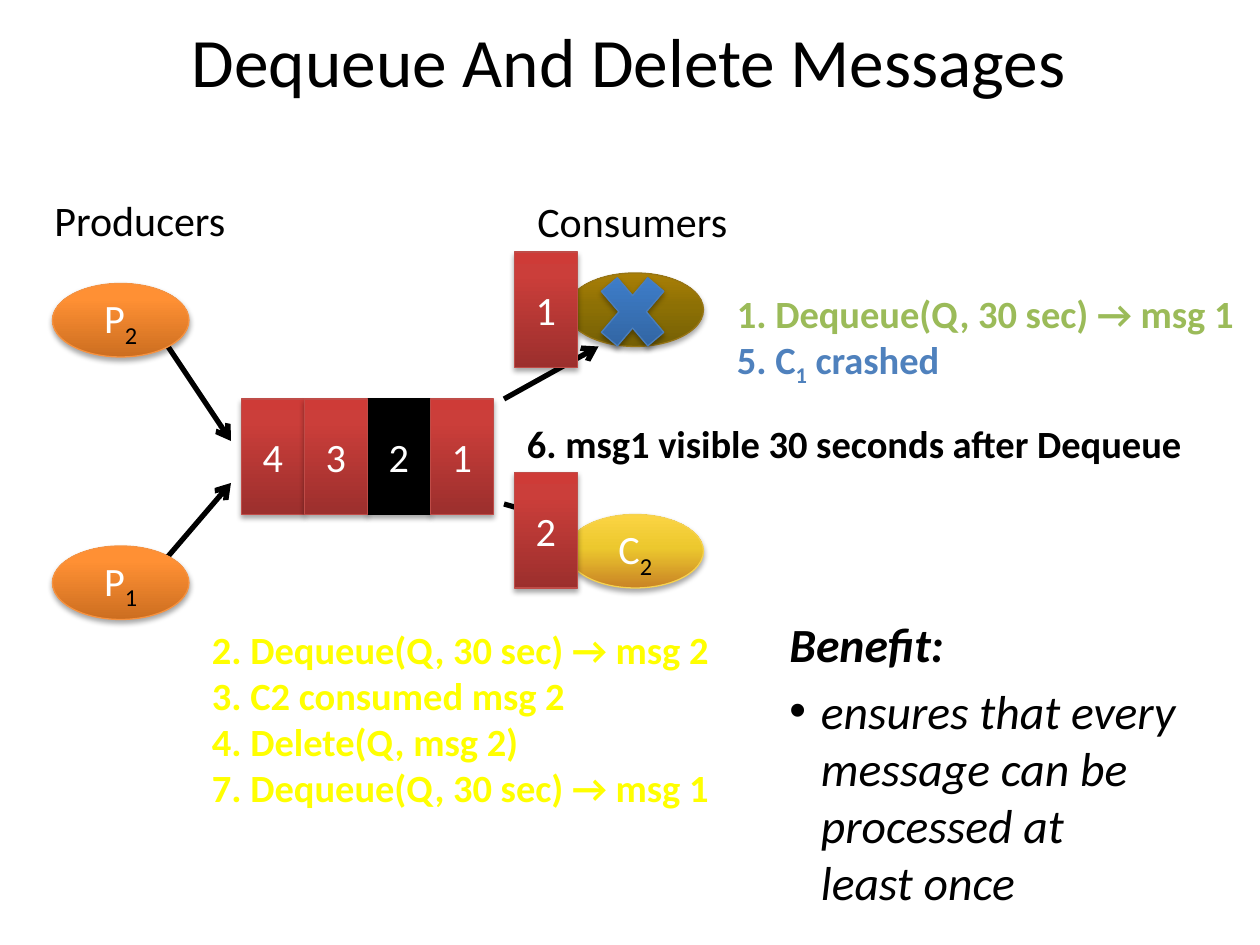
from copy import deepcopy

from lxml.etree import SubElement
from pptx import Presentation
from pptx.dml.color import RGBColor
from pptx.enum.shapes import MSO_CONNECTOR, MSO_SHAPE
from pptx.enum.text import MSO_ANCHOR, PP_ALIGN
from pptx.oxml.ns import qn
from pptx.util import Inches, Pt

COLORS = {
    "black": "000000", "white": "FFFFFF", "yellow": "FFFF00",
    "green": "9BBB59", "blue": "4F81BD",
}
GLOSS = {
    "red": ("BF4C48", [(0, "9C2F2D"), (0.8, "CB3E3A"), (1, "CE3B37")]),
    "orange": ("F69240", [(0, "CC6E20"), (0.8, "FF9034"), (1, "FF9136")]),
    "gold": ("F5D251", [(0, "C98325"), (0.55, "ECC82E"), (1, "FBD443")]),
    "olive": ("977515", [(0, "756005"), (0.55, "8D7005"), (1, "AA7F06")]),
    "blue": ("4B7EBC", [(0, "2F5F99"), (0.8, "3D7CC7"), (1, "3A7CCB")]),
    "black": ("000000", []),
}
SUBSCRIPT = {"size": 24, "color": "black"}

deck = Presentation()
deck.slide_width, deck.slide_height = Inches(10), Inches(7.5)
slide = deck.slides.add_slide(deck.slide_layouts[6])
UNIT = deck.slide_width / 120


def write(paragraph, pieces, size, color, **style):
    for text, change in pieces:
        run = paragraph.add_run()
        run.text = text
        look = {"size": size, "color": color} | change
        run.font.color.rgb = RGBColor.from_string(COLORS[look["color"]])
        values = {"name": "Calibri", "size": Pt(look["size"])} | style
        for attribute, value in values.items():
            setattr(run.font, attribute, value)
        if change.get("sub"):
            run._r.get_or_add_rPr().set("baseline", "-25000")


def glossy(preset, place, gloss, pieces=()):
    shape = slide.shapes.add_shape(preset, *[round(n * UNIT) for n in place])
    edge, stops = GLOSS[gloss]
    if stops:
        shape.fill.gradient()
        shape.fill.gradient_angle = 90
        stop_list = shape.element.spPr.find(".//" + qn("a:gsLst"))
        stop_list.append(deepcopy(stop_list[-1]))
        for stop, (position, tone) in zip(shape.fill.gradient_stops, stops):
            stop.position = position
            stop.color.rgb = RGBColor.from_string(tone)
    else:
        shape.fill.solid()
        shape.fill.fore_color.rgb = RGBColor.from_string(edge)
    shape.line.color.rgb = RGBColor.from_string(edge)
    shape.line.width = Pt(0.75)
    shape.shadow.inherit = False
    effects = shape.element.spPr.find(qn("a:effectLst"))
    shadow = SubElement(effects, qn("a:outerShdw"), blurRad=str(Pt(3.1)),
                        dist=str(Pt(1.8)), dir="5400000", rotWithShape="0")
    tint = SubElement(shadow, qn("a:srgbClr"), val=COLORS["black"])
    SubElement(tint, qn("a:alpha"), val="35000")
    shape.text_frame.vertical_anchor = MSO_ANCHOR.MIDDLE
    paragraph = shape.text_frame.paragraphs[0]
    paragraph.alignment = PP_ALIGN.CENTER
    write(paragraph, pieces, 23, "white")


for start_x, start_y, end_x, end_y in [
    (48, 48, 55, 50), (48, 38, 57, 33), (16, 33, 22, 42), (16, 53, 22, 46),
]:
    arrow = slide.shapes.add_connector(
        MSO_CONNECTOR.STRAIGHT,
        *[round(n * UNIT) for n in (start_x, start_y, end_x, end_y)])
    arrow.line.color.rgb = RGBColor.from_string(COLORS["black"])
    arrow.line.width = Pt(3)
    SubElement(arrow.line._get_or_add_ln(), qn("a:tailEnd"), type="arrow")
    SubElement(arrow.element.spPr, qn("a:effectLst"))

for letter, number, column, row, gloss in [
    ("C", "1", 54, 26, "olive"), ("C", "2", 54, 49, "gold"),
    ("P", "2", 5, 27, "orange"), ("P", "1", 5, 52, "orange"),
]:
    glossy(MSO_SHAPE.OVAL, (column, row, 13, 7), gloss,
           [(letter, {}), (number, SUBSCRIPT | {"sub": True})])

for message, column, row, gloss in [
    ("4", 23, 38, "red"), ("2", 35, 38, "black"), ("1", 41, 38, "red"),
    ("3", 29, 38, "red"), ("1", 49, 24, "red"), ("2", 49, 45, "red"),
]:
    glossy(MSO_SHAPE.RECTANGLE, (column, row, 6, 11), gloss, [(message, {})])

glossy(MSO_SHAPE.MATH_MULTIPLY, (56, 24.7, 8.5, 10), "blue")

crash = {"color": "blue"}
for place, size, color, bold, lines in [
    ((4, 17.9, 18.8, 6.1), 24, "black", False, [[("Producers", {})]]),
    ((50, 18, 20.6, 6.1), 24, "black", False, [[("Consumers", {})]]),
    ((19, 59, 50.5, 19), 22, "yellow", True, [
        [("2. Dequeue(Q, 30 sec) → msg 2", {})],
        [("3. C2 consumed msg 2", {})],
        [("4. Delete(Q, msg 2)", {})],
        [("7. Dequeue(Q, 30 sec) → msg 1", {})]]),
    ((69, 27, 50.5, 10.1), 22, "green", True, [
        [("1. Dequeue(Q, 30 sec) → msg 1", {})],
        [("5. C", crash), ("1", crash | {"sub": True}), (" crashed", crash)]]),
    ((49, 39.4, 65.6, 5.6), 22, "black", True,
     [[("6. msg1 visible 30 seconds after Dequeue", {})]]),
]:
    label = slide.shapes.add_textbox(*[round(n * UNIT) for n in place])
    label.text_frame.word_wrap = False
    for index, pieces in enumerate(lines):
        if index:
            label.text_frame.add_paragraph()
        write(label.text_frame.paragraphs[-1], pieces, size, color, bold=bold)

title = slide.shapes.add_textbox(
    *[round(n * UNIT) for n in (5, 2, 109.8, 7.3)]).text_frame
title.word_wrap = True
title.vertical_anchor = MSO_ANCHOR.MIDDLE
title.paragraphs[0].alignment = PP_ALIGN.CENTER
write(title.paragraphs[0], [("Dequeue And Delete Messages", {})], 39.6, "black")

benefit = slide.shapes.add_textbox(
    *[round(n * UNIT) for n in (74, 58, 46, 26)]).text_frame
benefit.word_wrap = True
heading, promise = benefit.paragraphs[0], benefit.add_paragraph()
for paragraph, indent in [(heading, 0.38), (promise, 0.25)]:
    properties = paragraph._p.get_or_add_pPr()
    properties.set("marL", str(Inches(indent)))
    properties.set("indent", str(-Inches(indent)))
promise.space_before = Pt(5.44)
SubElement(promise._p.get_or_add_pPr(), qn("a:buFont"), typeface="Arial")
SubElement(promise._p.get_or_add_pPr(), qn("a:buChar"), char="•")
write(heading, [("Benefit:", {})], 27.2, "black", bold=True, italic=True)
write(promise, [("ensures that every message can be processed at", {})],
      27.2, "black", italic=True)
promise.add_line_break()
write(promise, [("least once", {})], 27.2, "black", italic=True)

deck.save("out.pptx")
